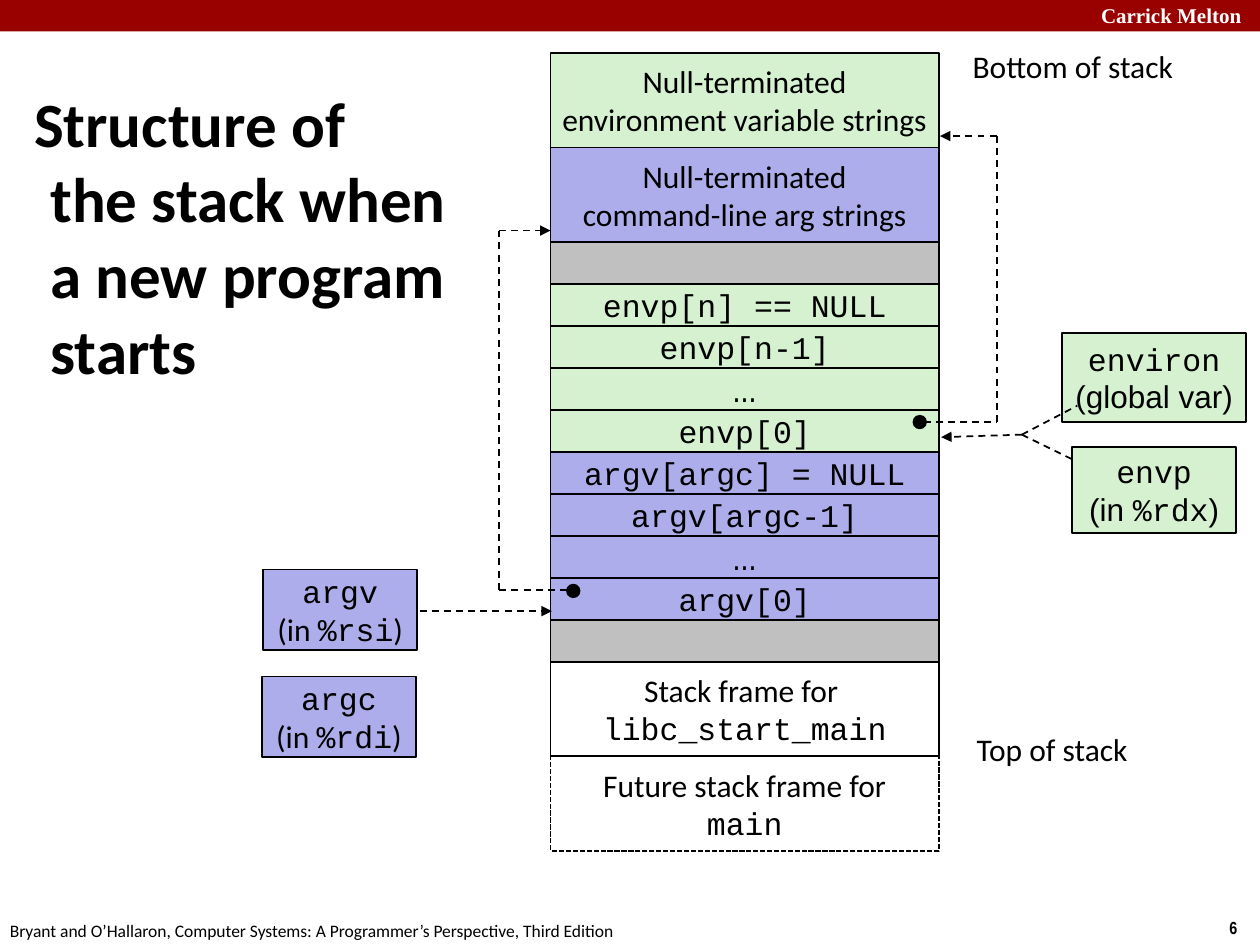
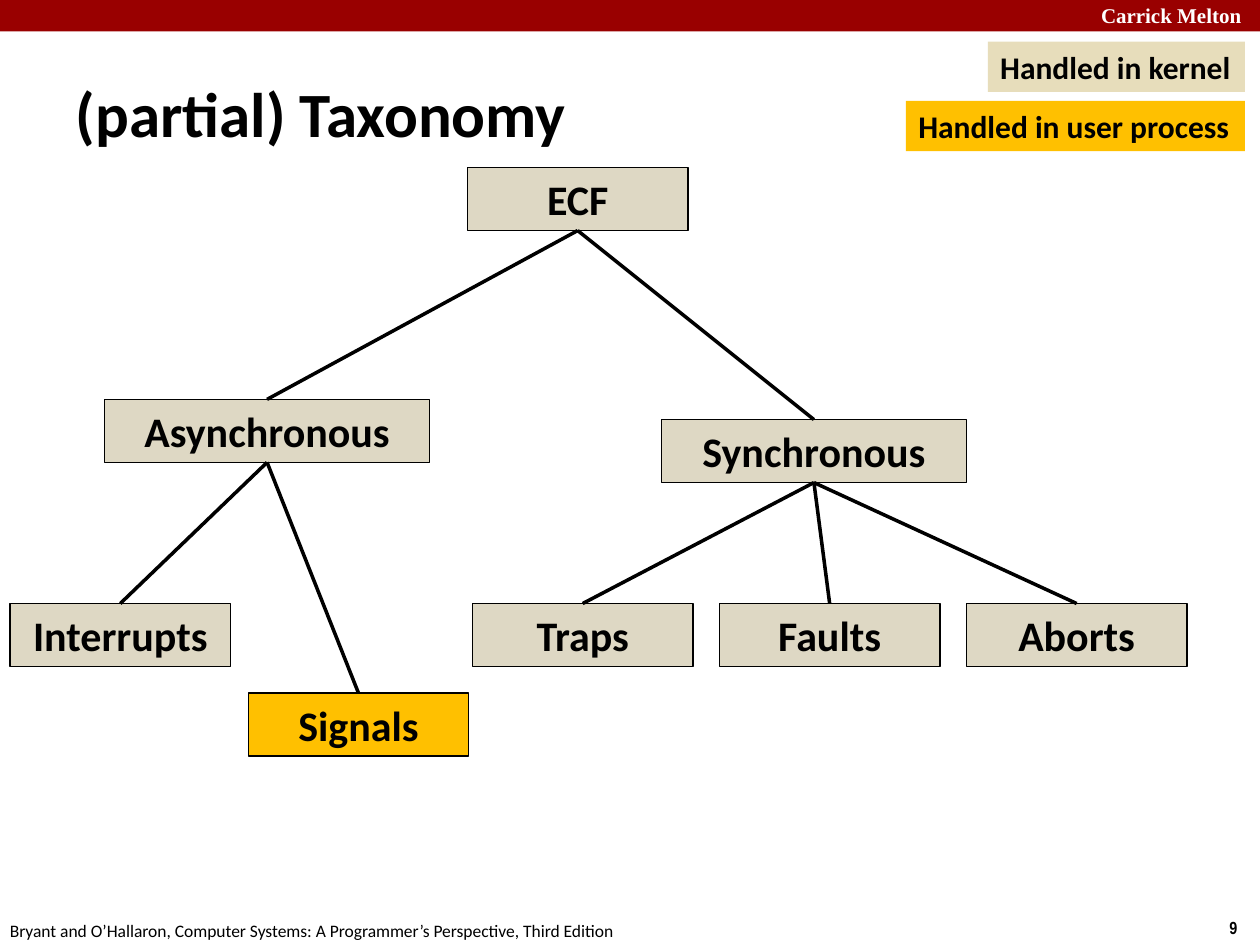
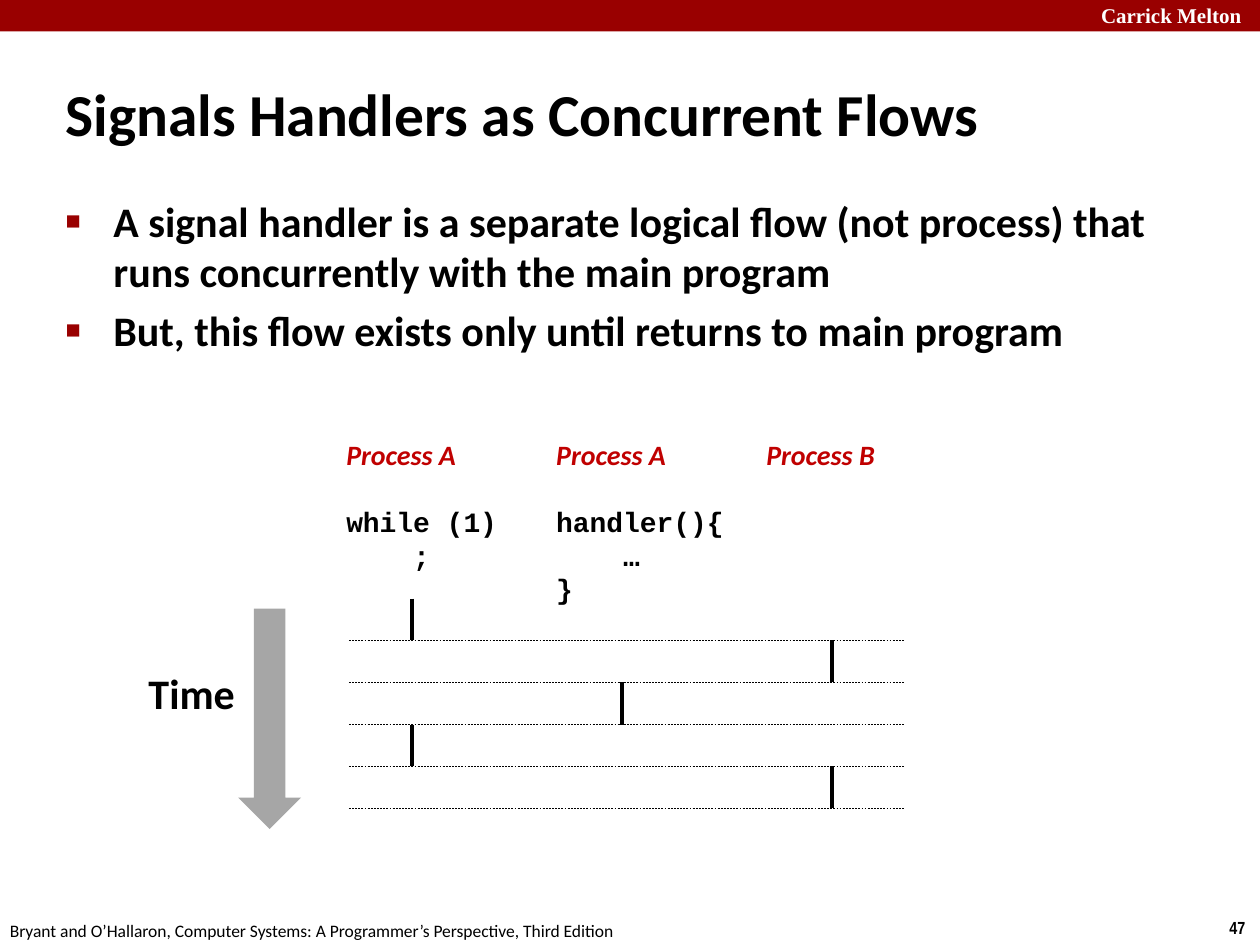
import lxml.etree
import pptx
import pptx.dml.color
import pptx.enum.dml
import pptx.enum.shapes
import pptx.enum.text
import pptx.oxml.ns
import pptx.util

Inches = pptx.util.Inches
Pt = pptx.util.Pt
RGB = pptx.dml.color.RGBColor
SHAPE = pptx.enum.shapes.MSO_SHAPE
DASH = pptx.enum.dml.MSO_LINE
ALIGN = pptx.enum.text.PP_ALIGN
ANCHOR = pptx.enum.text.MSO_ANCHOR
FIT = pptx.enum.text.MSO_AUTO_SIZE

# Colours and fonts
BLACK = RGB(0x00, 0x00, 0x00)
WHITE = RGB(0xFF, 0xFF, 0xFF)
DARK_RED = RGB(0x99, 0x00, 0x00)
RED = RGB(0xC0, 0x00, 0x00)
GREEN = RGB(0xD5, 0xF1, 0xCF)
LILAC = RGB(0xAD, 0xAD, 0xEB)
GREY = RGB(0xC0, 0xC0, 0xC0)
ARROW_GREY = RGB(0xA6, 0xA6, 0xA6)
TAN = RGB(0xDE, 0xD8, 0xC4)
KERNEL_TAN = RGB(0xE7, 0xDD, 0xBB)
AMBER = RGB(0xFF, 0xC0, 0x00)
SANS, NARROW, ARIAL = "Calibri", "Arial Narrow", "Arial"
MONO, SERIF = "Courier New", "Times New Roman"

INSTITUTION = "Carrick Melton"
FOOTER = ("Bryant and O’Hallaron, Computer Systems: "
          "A Programmer’s Perspective, Third Edition")
ROW = 1 / 3  # height of a stack slot and of a time slice


# Shared helpers
def sub(parent, tag, **attrs):
    return lxml.etree.SubElement(parent, pptx.oxml.ns.qn(tag), attrs)


def style(p, size, font=None, color=BLACK, bold=False, italic=False):
    f = p.font
    f.size, f.bold, f.italic = Pt(size), bold, italic
    f.color.rgb = color
    if font:
        f.name = font


def write(shape, paragraphs, size, color=BLACK, bold=False,
          align=ALIGN.LEFT, anchor=ANCHOR.TOP, wrap=False):
    """Each paragraph is a list of (text, font) runs."""
    tf = shape.text_frame
    tf.word_wrap, tf.vertical_anchor = wrap, anchor
    for i, runs in enumerate(paragraphs):
        p = tf.paragraphs[0] if i == 0 else tf.add_paragraph()
        p.alignment = align
        same = len({font for _, font in runs}) == 1
        style(p, size, runs[0][1] if same else None, color, bold)
        for text, font in runs:
            r = p.add_run()
            r.text = text
            if not same:
                r.font.name = font
    return tf


def add_box(s, x, y, w, h, fill=None, line=None, kind=SHAPE.RECTANGLE):
    sp = s.shapes.add_shape(kind, Inches(x), Inches(y), Inches(w), Inches(h))
    sp.shadow.inherit = False
    if fill is None:
        sp.fill.background()
    else:
        sp.fill.solid()
        sp.fill.fore_color.rgb = fill
    if line is None:
        sp.line.fill.background()
    else:
        sp.line.color.rgb = BLACK
        sp.line.width = Pt(line)
    return sp


def add_label(s, x, y, w, h, paragraphs, size, **options):
    tb = s.shapes.add_textbox(Inches(x), Inches(y), Inches(w), Inches(h))
    return write(tb, paragraphs, size, **options)


def add_line(s, start, end, width=1, dashed=False, arrow=False):
    (x1, y1), (x2, y2) = start, end
    c = s.shapes.add_connector(pptx.enum.shapes.MSO_CONNECTOR.STRAIGHT,
                               Inches(x1), Inches(y1), Inches(x2), Inches(y2))
    c.line.color.rgb = BLACK
    c.line.width = Pt(width)
    if dashed:
        c.line.dash_style = DASH.DASH
    if arrow:
        sub(c.line._get_or_add_ln(), "a:tailEnd", type="triangle")
    sub(c._element.spPr, "a:effectLst")
    return c


def place(ph, x, y, w, h):
    ph.left, ph.top, ph.width, ph.height = map(Inches, (x, y, w, h))
    ph.text_frame.auto_size = FIT.NONE
    return ph.text_frame


def hang(p, indent):
    pPr = p._p.get_or_add_pPr()
    pPr.set("marL", str(Inches(indent)))
    pPr.set("indent", str(-Inches(indent)))
    return pPr


def new_slide(prs, layout, title, box, number, size=36):
    """Slide with the band, the footer, the page number and the title."""
    s = prs.slides.add_slide(prs.slide_layouts[layout])
    add_box(s, 0, 0, 10, 0.25, DARK_RED)
    add_label(s, 8.64, -0.03, 1.43, 0.3, [[(INSTITUTION, SERIF)]], 12,
              color=WHITE, bold=True)
    add_label(s, 9.66, 7.23, 0.34, 0.27, [[(number, NARROW)]], 10, bold=True)
    add_label(s, -0.02, 7.25, 5.08, 0.27, [[(FOOTER, SANS)]], 10)
    tf = place(s.shapes.title, *box)
    tf.text = title
    tf.vertical_anchor = ANCHOR.MIDDLE
    p = tf.paragraphs[0]
    p.alignment = ALIGN.LEFT
    style(p, size, SANS, bold=True)
    hang(p, 0.13)
    return s


# Stack slide
def centred(sp, paragraphs, size=18):
    write(sp, paragraphs, size, align=ALIGN.CENTER, anchor=ANCHOR.MIDDLE)


def add_stack(s, x, y, w):
    def lines(*runs):
        return [[run] for run in runs]

    tall = 0.75
    slots = [
        (tall, GREEN, lines(("Null-terminated", SANS),
                            ("environment variable strings", SANS))),
        (tall, LILAC, lines(("Null-terminated", SANS),
                            ("command-line arg strings", SANS))),
        (ROW, GREY, []),
        (ROW, GREEN, lines(("envp[n] == NULL", MONO))),
        (ROW, GREEN, lines(("envp[n-1]", MONO))),
        (ROW, GREEN, lines(("...", NARROW))),
        (ROW, GREEN, lines(("envp[0]", MONO))),
        (ROW, LILAC, lines(("argv[argc] = NULL", MONO))),
        (ROW, LILAC, lines(("argv[argc-1]", MONO))),
        (ROW, LILAC, lines(("...", NARROW))),
        (ROW, LILAC, lines(("argv[0]", MONO))),
        (ROW, GREY, []),
        (tall, None, lines(("Stack frame for ", SANS),
                           ("libc_start_main", MONO))),
        (tall, None, lines(("Future stack frame for", SANS), ("main", MONO))),
    ]
    for h, fill, text in slots:
        sp = add_box(s, x, y, w, h, fill, 1)
        centred(sp, text, 20 if text == [[("...", NARROW)]] else 18)
        y += h
    sp.line.dash_style = DASH.SQUARE_DOT  # the future frame comes last


def add_register(s, box, fill, name, register, font):
    centred(add_box(s, *box, fill, 1),
            [[(name, MONO)], [("(in ", font), (register, MONO), (")", font)]])


def add_pointers(s, x, y, w):
    """Dashed pointers around the stack whose top left is (x, y)."""
    right = x + w

    def add_route(points):
        for start, end in zip(points, points[1:]):
            add_line(s, start, end, dashed=True, arrow=end == points[-1])

    def add_dot(cx, cy):
        add_box(s, cx - 0.05, cy - 0.05, 0.1, 0.1, BLACK, 1, SHAPE.OVAL)

    # argv[0] and envp[0] to their strings
    argv_y, envp_y = y + 4.26, y + 2.93
    add_route([(x + 0.13, argv_y), (x - 0.41, argv_y),
               (x - 0.41, y + 1.41), (x, y + 1.41)])
    add_route([(right - 0.12, envp_y), (right + 0.46, envp_y),
               (right + 0.46, y + 0.66), (right + 0.01, y + 0.66)])
    add_dot(x + 0.18, argv_y + 0.01)
    add_dot(right - 0.15, envp_y)
    # Variables and registers to the arrays
    fork = (right + 0.66, y + 3.03)
    add_route([(x - 1.04, y + 4.43), (x + 0.01, y + 4.43)])
    add_route([fork, (right + 0.02, y + 3.05)])
    for dx, dy in ((1.1, 2.8), (1.09, 3.24)):
        add_line(s, fork, (right + dx, y + dy), dashed=True)


def stack_slide(prs):
    s = new_slide(prs, 5, "Structure of \vthe stack when a new program starts",
                  (0.17, 0.83, 3.57, 2.08), "6")
    x, y, w = 4.37, 0.42, 3.08
    add_stack(s, x, y, w)
    centred(add_box(s, 8.43, 2.64, 1.46, 0.71, GREEN, 1),
            [[("environ", MONO)], [("(global var)", ARIAL)]])
    add_register(s, (8.51, 3.55, 1.3, 0.68), GREEN, "envp", "%rdx", ARIAL)
    add_register(s, (2.09, 4.52, 1.22, 0.64), LILAC, "argv", "%rsi", SANS)
    add_register(s, (2.08, 5.37, 1.22, 0.64), LILAC, "argc", "%rdi", SANS)
    add_pointers(s, x, y, w)
    for box, text in (((7.6, 0.32, 1.83, 0.4), "Bottom of stack"),
                      ((7.63, 5.74, 1.44, 0.4), "Top of stack")):
        add_label(s, *box, [[(text, SANS)]], 18,
                  align=ALIGN.CENTER, anchor=ANCHOR.MIDDLE)


# Taxonomy slide
def add_tree(s, x, y):
    nodes = [  # name, parent, left, top, width
        ("ECF", None, 3.63, 0, 1.75),
        ("Asynchronous", "ECF", 0.75, 1.84, 2.58),
        ("Synchronous", "ECF", 5.17, 2, 2.42),
        ("Interrupts", "Asynchronous", 0, 3.46, 1.75),
        ("Signals", "Asynchronous", 1.89, 4.17, 1.75),
        ("Traps", "Synchronous", 3.67, 3.46, 1.75),
        ("Faults", "Synchronous", 5.63, 3.46, 1.75),
        ("Aborts", "Synchronous", 7.59, 3.46, 1.75),
    ]
    placed = {}
    for name, parent, dx, dy, w in nodes:
        sp = add_box(s, x + dx, y + dy, w, 0.5,
                     AMBER if name == "Signals" else TAN, 0.75)
        write(sp, [[(name, SANS)]], 24, bold=True,
              align=ALIGN.CENTER, wrap=True)
        placed[name] = sp
        if parent:
            c = add_line(s, (x, y), (x, y), width=2)
            c.begin_connect(placed[parent], 2)
            c.end_connect(sp, 0)


def add_legend(s, right, y):
    for i, (text, w, fill) in enumerate((
            ("Handled in kernel", 2.04, KERNEL_TAN),
            ("Handled in user process", 2.69, AMBER))):
        sp = add_box(s, right - w, y + i * 0.47, w, 0.4, fill)
        write(sp, [[(text, SANS)]], 18, bold=True)


def taxonomy_slide(prs):
    s = new_slide(prs, 5, " (partial) Taxonomy", (0.39, 0.48, 8.3, 0.83), "9")
    add_tree(s, 0.08, 1.33)
    add_legend(s, 9.88, 0.33)


# Concurrent flows slide
def add_bullets(s, box, items):
    tf = place(s.placeholders[1], *box)
    for i, item in enumerate(items):
        p = tf.paragraphs[0] if i == 0 else tf.add_paragraph()
        p.text = item
        style(p, 24, SANS, bold=True)
        pPr = hang(p, 0.38)
        marks = [lxml.etree.Element(pptx.oxml.ns.qn(tag)) for tag in
                 ("a:buClr", "a:buSzPct", "a:buFont", "a:buChar")]
        sub(marks[0], "a:srgbClr", val=str(DARK_RED))
        marks[1].set("val", "60000")
        marks[2].set("typeface", ARIAL)
        marks[3].set("char", "■")
        for at, mark in enumerate(marks):  # ahead of the run defaults
            pPr.insert(at, mark)


def add_flows(s, x, y):
    pitch = 5 / 3
    flows = [("Process A", 1.4, 1.17, ["while (1)", ";"]),
             ("Process A", 1.54, 1.44, ["handler(){", "…", "}"]),
             ("Process B", 1.08, 0.37, [])]
    for i, (name, w, h, code) in enumerate(flows):
        tf = add_label(s, x + i * pitch, y, w, h,
                       [[(name, SANS)]] + [[(c, MONO)] for c in code],
                       16, bold=True)
        head = tf.paragraphs[0]
        style(head, 16, SANS, RED, bold=True, italic=True)
        if code:
            head.space_after = Pt(19.5)
            tf.paragraphs[2]._p.get_or_add_pPr().set("marL", str(Inches(0.53)))
    # Running flow in each time slice
    for i, flow in enumerate((0, 2, 1, 0, 2)):
        top = y + 1.33 + i * ROW
        bar_x = x + 0.62 + flow * pitch
        add_line(s, (bar_x, top), (bar_x, top + ROW), width=2)
        add_line(s, (x + 0.12, top + ROW), (x + 4.53, top + ROW),
                 width=0.25, dashed=True)


def add_time_arrow(s, x, y):
    add_label(s, x, y + 0.42, 0.89, 0.5, [[("Time", SANS)]], 24,
              bold=True, wrap=True)
    add_box(s, x + 0.81, y, 0.5, 1.75, ARROW_GREY, kind=SHAPE.DOWN_ARROW)


def flows_slide(prs):
    s = new_slide(prs, 1, "Signals Handlers as Concurrent Flows",
                  (0.42, 0.48, 8.3, 0.83), "47", size=34)
    add_bullets(s, (0.42, 1.5, 9.09, 1.42), [
        "A signal handler is a separate logical flow (not process) that "
        "runs concurrently with the main program",
        "But, this flow exists only until returns to main program"])
    add_flows(s, 2.65, 3.42)
    add_time_arrow(s, 1.08, 4.83)


def main():
    prs = pptx.Presentation()
    prs.slide_width, prs.slide_height = Inches(10), Inches(7.5)
    stack_slide(prs)
    taxonomy_slide(prs)
    flows_slide(prs)
    prs.save("out.pptx")


if __name__ == "__main__":
    main()
